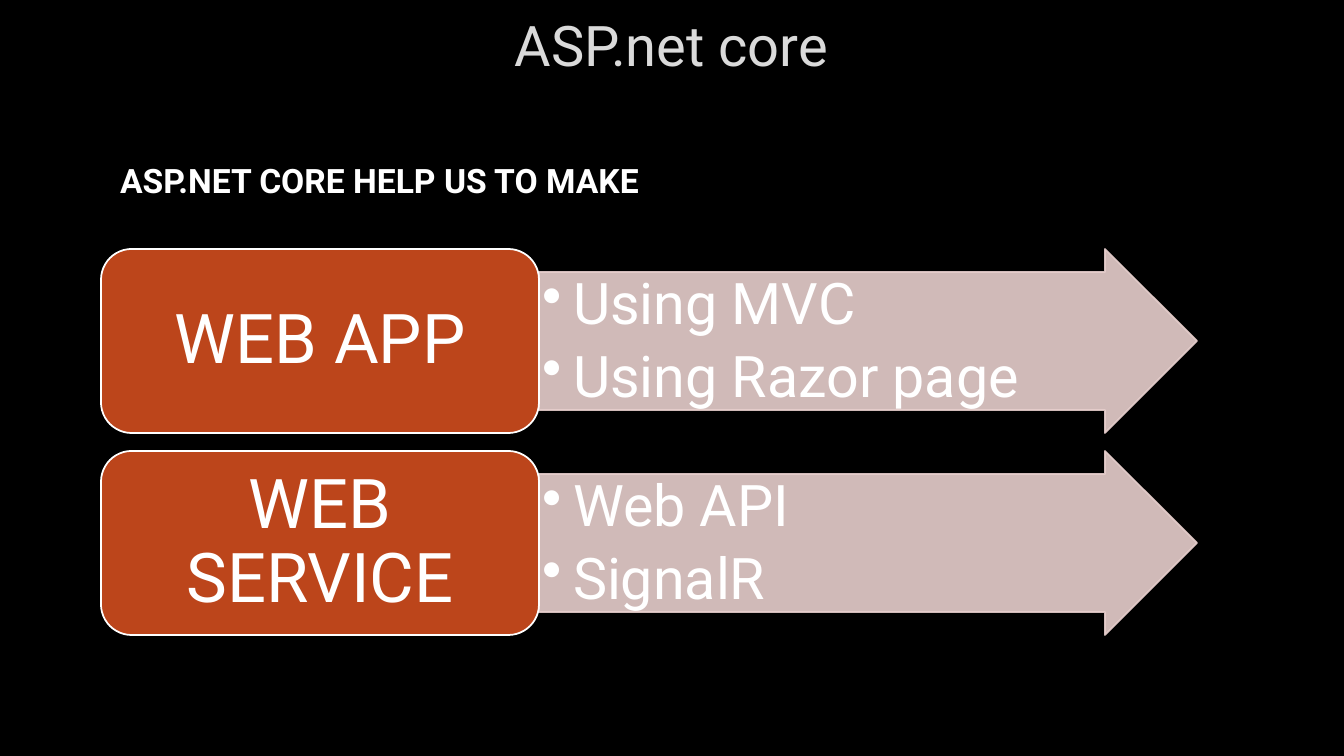
"""Build the slide on what ASP.net core helps to make."""
import pptx
import pptx.util
import pptx.dml.color
import pptx.enum.shapes
import pptx.enum.text
import pptx.oxml
import pptx.oxml.ns

RGBColor = pptx.dml.color.RGBColor
BLACK = RGBColor(0x00, 0x00, 0x00)
WHITE = RGBColor(0xFF, 0xFF, 0xFF)
SILVER = RGBColor(0xDA, 0xDA, 0xDA)
RUST = RGBColor(0xBC, 0x45, 0x1B)
ROSE = RGBColor(0xE7, 0xCF, 0xCD)

SHAPE = pptx.enum.shapes.MSO_SHAPE
ALIGN = pptx.enum.text.PP_ALIGN
ANCHOR = pptx.enum.text.MSO_ANCHOR

ROWS = [
    ("WEB APP", ["Using MVC", "Using Razor page"]),
    ("WEB SERVICE", ["Web API", "SignalR"]),
]
ROW_TOP, ROW_STEP, ROW_HIGH = 249, 202, 184
LABEL_LEFT, LABEL_WIDE = 101, 438
ARROW_WIDE = 658


def px(count):
    return round(count * 914400 / 100.8)


class Painter:
    font = "Roboto"

    def __init__(self, deck):
        self.slide = deck.slides.add_slide(deck.slide_layouts[5])
        fill = self.slide.background.fill
        fill.solid()
        fill.fore_color.rgb = BLACK

    def letter(self, frame, lines, size, color, align, anchor, bold=False, spacing=0.9, pads=(10, 5)):
        frame.word_wrap = True
        frame.auto_size = pptx.enum.text.MSO_AUTO_SIZE.NONE
        frame.vertical_anchor = anchor
        frame.margin_left = frame.margin_right = px(pads[0])
        frame.margin_top = frame.margin_bottom = px(pads[1])
        frame.text = "\n".join(lines)
        for para in frame.paragraphs:
            para.alignment = align
            para.line_spacing = spacing
            for run in para.runs:
                run.font.name = self.font
                run.font.size = pptx.util.Pt(size)
                run.font.bold = bold
                run.font.color.rgb = color

    def title(self, text, left, top, wide, high):
        shape = self.slide.shapes.title
        shape.left, shape.top, shape.width, shape.height = map(px, (left, top, wide, high))
        self.letter(shape.text_frame, [text], 40, SILVER, ALIGN.CENTER, ANCHOR.MIDDLE, spacing=1.0)

    def heading(self, text, left, top, wide, high):
        box = self.slide.shapes.add_textbox(*map(px, (left, top, wide, high)))
        self.letter(box.text_frame, [text], 24, WHITE, ALIGN.LEFT, ANCHOR.MIDDLE, bold=True)

    def block(self, kind, left, top, wide, high, color, edge):
        shape = self.slide.shapes.add_shape(kind, *map(px, (left, top, wide, high)))
        shape.shadow.inherit = False
        shape.fill.solid()
        shape.fill.fore_color.rgb = color
        shape.line.color.rgb = edge
        shape.line.width = pptx.util.Pt(1.25)
        return shape

    def label(self, text, *place):
        shape = self.block(SHAPE.ROUNDED_RECTANGLE, *place, RUST, WHITE)
        self.letter(shape.text_frame, [text], 49, WHITE, ALIGN.CENTER, ANCHOR.MIDDLE, pads=(20, 10))

    def arrow(self, points, *place):
        shape = self.block(SHAPE.RIGHT_ARROW, *place, ROSE, ROSE)
        shape.adjustments[0] = 0.75
        shape.adjustments[1] = 0.5
        props = shape.element.spPr
        for color in props.findall(".//" + pptx.oxml.ns.qn("a:srgbClr")):
            color.append(pptx.oxml.parse_xml(
                f'<a:alpha {pptx.oxml.ns.nsdecls("a")} val="90000"/>'))
        frame = shape.text_frame
        self.letter(frame, points, 41, WHITE, ALIGN.LEFT, ANCHOR.TOP, pads=(3, 3))
        for para in frame.paragraphs:
            para.space_after = pptx.util.Pt(7.5)
            self.bullet(para, 31)

    def bullet(self, para, indent):
        props = para._p.get_or_add_pPr()
        props.set("marL", str(px(indent)))
        props.set("indent", str(-px(indent)))
        props.append(pptx.oxml.parse_xml(
            f'<a:buChar {pptx.oxml.ns.nsdecls("a")} char="•"/>'))


def main():
    deck = pptx.Presentation()
    deck.slide_width, deck.slide_height = px(1344), px(756)
    painter = Painter(deck)
    painter.title("ASP.net core", 101, 0, 1141, 89)
    for row, (name, points) in enumerate(ROWS):
        top = ROW_TOP + row * ROW_STEP
        painter.arrow(points, LABEL_LEFT + LABEL_WIDE, top, ARROW_WIDE, ROW_HIGH)
        painter.label(name, LABEL_LEFT, top, LABEL_WIDE, ROW_HIGH)
    painter.heading("ASP.NET CORE HELP US TO MAKE", 110, 89, 1141, 187)
    deck.save("out.pptx")


if __name__ == "__main__":
    main()
